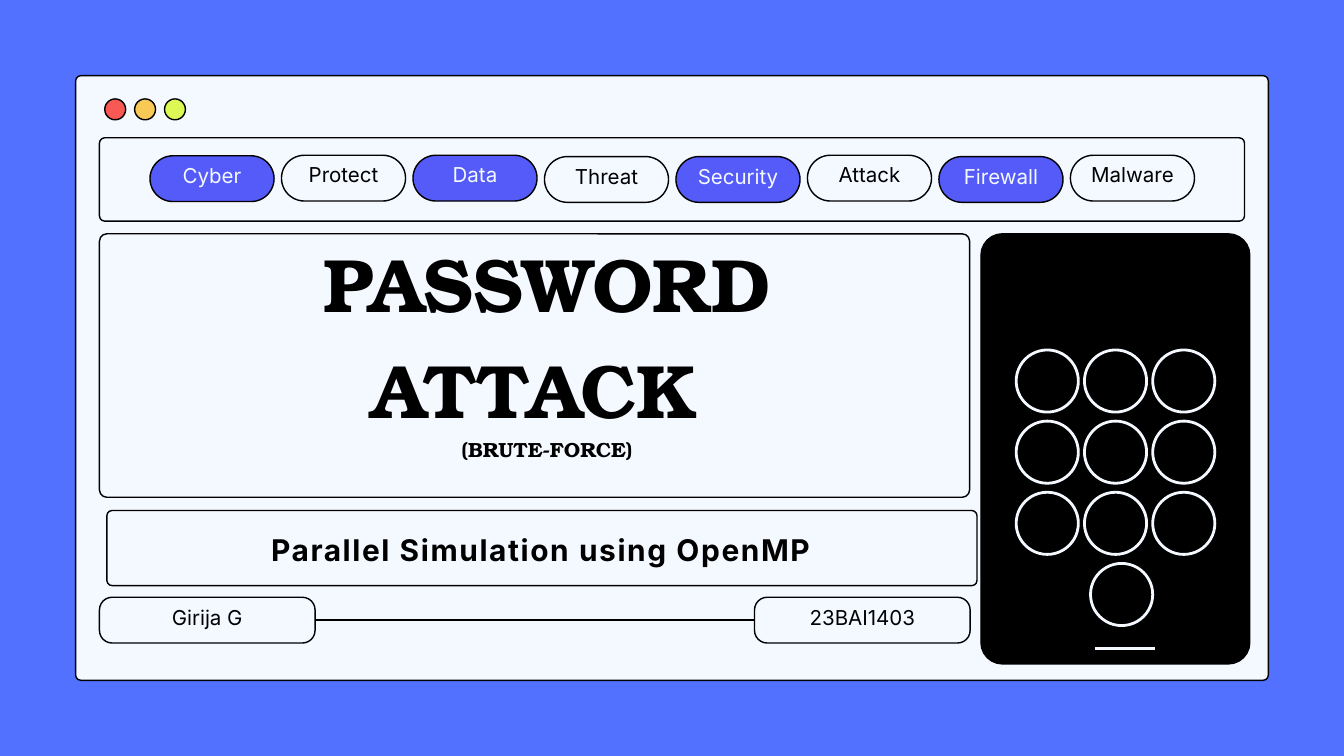
"""Build the title slide of a password attack talk, drawn as a browser window with a phone keypad."""
from dataclasses import dataclass
from typing import Optional

from lxml.etree import SubElement
from pptx import Presentation
from pptx.dml.color import RGBColor
from pptx.enum.shapes import MSO_CONNECTOR, MSO_SHAPE
from pptx.enum.text import MSO_ANCHOR, PP_ALIGN
from pptx.oxml.ns import qn
from pptx.shapes.autoshape import Shape
from pptx.shapes.connector import Connector
from pptx.slide import Slide
from pptx.util import Cm, Pt


@dataclass(frozen=True)
class Theme:
    backdrop: str = "5271FF"
    paper: str = "F4F8FF"
    ink: str = "000000"
    accent: str = "545BF8"
    lights: tuple = ("F85954", "F8C954", "DCF854")
    sans: str = "Inter"
    serif: str = "TeX Gyre Bonum"
    label: float = 22
    title: float = 81
    note: float = 21.9
    subtitle: float = 32
    leading: float = 1.4
    thin: float = 1.5
    thick: float = 3


T = Theme()


@dataclass(frozen=True)
class Box:
    x: float
    y: float
    w: float
    h: float

    def emu(self) -> tuple:
        return Cm(self.x), Cm(self.y), Cm(self.w), Cm(self.h)


@dataclass(frozen=True)
class Line:
    text: str
    size: float
    font: str = T.sans
    color: str = T.ink
    bold: bool = False
    spacing: float = 0


@dataclass(frozen=True)
class Tag:
    text: str
    y: float
    active: bool


WINDOW = Box(2.86, 2.86, 45.08, 22.86)
PHONE = Box(37.08, 8.84, 10.16, 16.26)
TITLE_PANEL = Box(3.76, 8.84, 32.89, 9.96)
SUBTITLE_PANEL = Box(4.04, 19.3, 32.89, 2.84)
TAG_BAR = Box(3.76, 5.21, 43.28, 3.15)
NAME = Box(3.76, 22.58, 8.15, 1.73)
NUMBER = Box(28.52, 22.58, 8.15, 1.73)
TITLE_TEXT = Box(8.33, 8.38, 24.69, 9.75)
SUBTITLE_TEXT = Box(8.33, 19.86, 24.23, 1.52)

TAGS = (
    Tag("Cyber", 5.89, True),
    Tag("Protect", 5.87, False),
    Tag("Data", 5.87, True),
    Tag("Threat", 5.92, False),
    Tag("Security", 5.92, True),
    Tag("Attack", 5.87, False),
    Tag("Firewall", 5.92, True),
    Tag("Malware", 5.87, False),
)


def draw(s: Slide, kind: MSO_SHAPE, box: Box, fill: Optional[str], line: str, width: float) -> Shape:
    """Draw a preset shape with a flat fill and outline."""
    sp = s.shapes.add_shape(kind, *box.emu())
    sp.shadow.inherit = False
    if fill is None:
        sp.fill.background()
    else:
        sp.fill.solid()
        sp.fill.fore_color.rgb = RGBColor.from_string(fill)
    sp.line.color.rgb = RGBColor.from_string(line)
    sp.line.width = Pt(width)
    return sp


def panel(s: Slide, box: Box, radius: float, fill: str = T.paper) -> Shape:
    """Draw a rounded panel with a corner radius in centimetres."""
    sp = draw(s, MSO_SHAPE.ROUNDED_RECTANGLE, box, fill, T.ink, T.thin)
    sp.adjustments[0] = min(0.5, radius / min(box.w, box.h))
    return sp


def write(s: Slide, box: Box, lines: tuple, anchor: MSO_ANCHOR = MSO_ANCHOR.TOP, inset: float = 0) -> None:
    """Write centred lines in a text box."""
    tf = s.shapes.add_textbox(*box.emu()).text_frame
    tf.word_wrap = True
    tf.vertical_anchor = anchor
    tf.margin_left = tf.margin_right = tf.margin_top = tf.margin_bottom = Cm(inset)
    for i, line in enumerate(lines):
        p = tf.add_paragraph() if i else tf.paragraphs[0]
        p.alignment = PP_ALIGN.CENTER
        p.line_spacing = Pt(round(line.size * T.leading, 1))
        r = p.add_run()
        r.text = line.text
        r.font.name = line.font
        r.font.size = Pt(line.size)
        r.font.bold = line.bold
        r.font.color.rgb = RGBColor.from_string(line.color)
        if line.spacing:
            r.font._element.set("spc", str(round(line.spacing * 100)))


def label(s: Slide, box: Box, radius: float, text: str, fill: str = T.paper, color: str = T.ink) -> Shape:
    """Draw a rounded label whose text sits slightly above its middle."""
    rise = 0.41
    sp = panel(s, box, radius, fill)
    area = Box(box.x, box.y - rise, box.w, box.h + rise)
    write(s, area, (Line(text, T.label, color=color),), MSO_ANCHOR.MIDDLE, 0.15)
    return sp


def connect(s: Slide, x1: float, x2: float, y: float, color: str, width: float) -> Connector:
    """Draw a horizontal line."""
    cn = s.shapes.add_connector(MSO_CONNECTOR.STRAIGHT, Cm(x1), Cm(y), Cm(x2), Cm(y))
    cn.line.color.rgb = RGBColor.from_string(color)
    cn.line.width = Pt(width)
    SubElement(cn._element.spPr, qn("a:effectLst"))
    return cn


def phone(s: Slide) -> None:
    """Draw the phone with its ten keys and home bar."""
    panel(s, PHONE, 0.81, T.ink)
    keys = [(38.41 + 2.58 * col, row) for row in range(3) for col in range(3)] + [(41.22, 3)]
    for x, row in keys:
        draw(s, MSO_SHAPE.OVAL, Box(x, 13.23 + 2.69 * row, 2.35, 2.35), None, T.paper, T.thick)
    connect(s, 41.38, 43.64, 24.51, T.paper, T.thick)


def main() -> None:
    """Build and save the slide."""
    prs = Presentation()
    prs.slide_width, prs.slide_height = Cm(50.8), Cm(28.58)
    s = prs.slides.add_slide(prs.slide_layouts[6])
    s.background.fill.solid()
    s.background.fill.fore_color.rgb = RGBColor.from_string(T.backdrop)

    panel(s, WINDOW, 0.2)
    for i, color in enumerate(T.lights):
        draw(s, MSO_SHAPE.OVAL, Box(3.96 + 1.13 * i, 3.74, 0.79, 0.79), color, T.ink, T.thin)
    phone(s)
    panel(s, TITLE_PANEL, 0.28)
    panel(s, SUBTITLE_PANEL, 0.2)
    name = label(s, NAME, 0.48, "Girija G")
    number = label(s, NUMBER, 0.48, "23BAI1403")
    link = connect(s, NAME.x + NAME.w, NUMBER.x, NAME.y + NAME.h / 2, T.ink, T.thin)
    link.begin_connect(name, 3)
    link.end_connect(number, 1)

    panel(s, TAG_BAR, 0.2)
    for i, tag in enumerate(TAGS):
        fill, color = (T.accent, T.paper) if tag.active else (T.paper, T.ink)
        label(s, Box(5.67 + 4.97 * i, tag.y, 4.69, 1.73), 0.87, tag.text, fill, color)

    write(s, TITLE_TEXT, (
        Line("PASSWORD ATTACK ", T.title, T.serif, bold=True),
        Line("(BRUTE-FORCE)", T.note, T.serif, bold=True),
    ))
    write(s, SUBTITLE_TEXT, (Line("Parallel Simulation using OpenMP", T.subtitle, bold=True, spacing=1.7),))
    prs.save("out.pptx")


if __name__ == "__main__":
    main()
